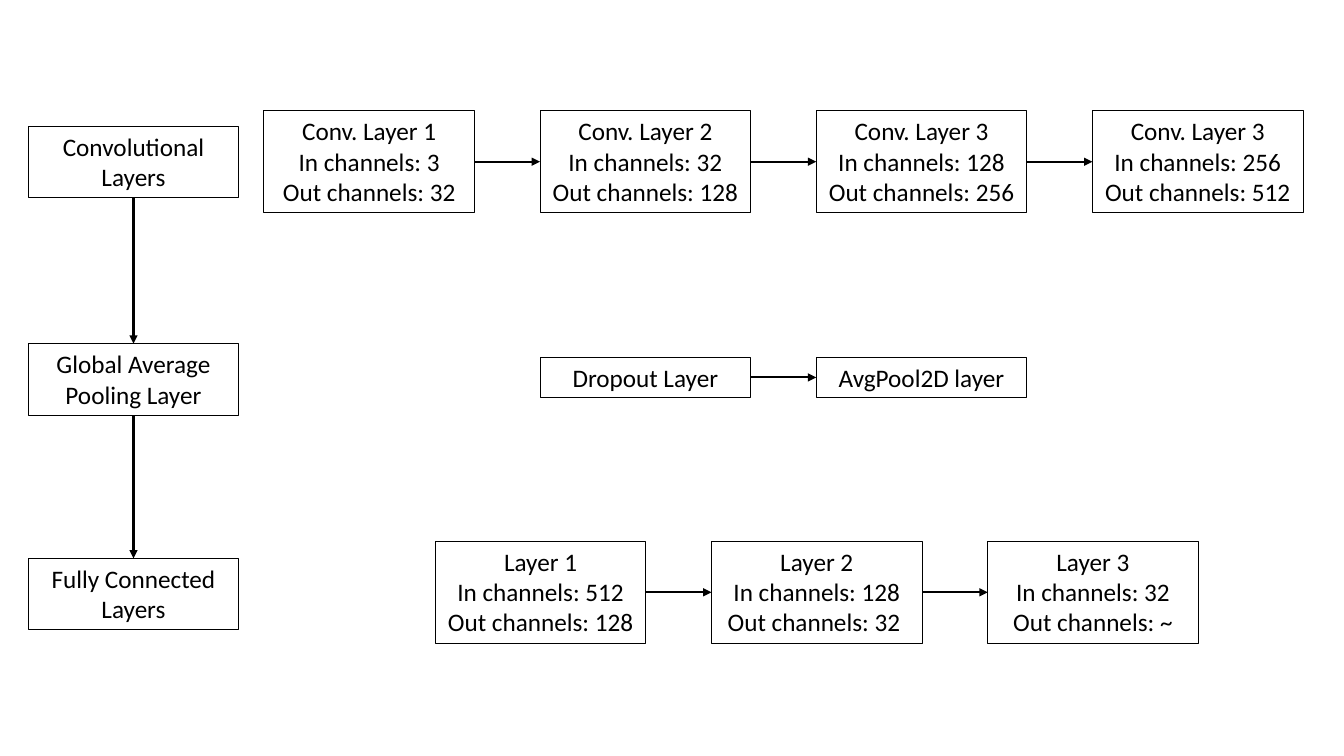
from dataclasses import dataclass
from itertools import pairwise

from lxml.etree import SubElement
from pptx import Presentation
from pptx.dml.color import RGBColor
from pptx.enum.shapes import MSO_CONNECTOR
from pptx.enum.text import MSO_AUTO_SIZE, PP_ALIGN
from pptx.oxml.ns import qn
from pptx.shapes.autoshape import Shape
from pptx.slide import Slide
from pptx.util import Cm, Pt

COLORS = {"ink": "000000"}
FONT_NAME = "Calibri"
BLOCK_WIDTH = 5.31
COLUMN_PITCH = 6.96
TOP, LEFT, BOTTOM, RIGHT = range(4)


@dataclass(frozen=True)
class Block:
    left: float
    top: float
    height: float
    lines: tuple[str, ...]


@dataclass(frozen=True)
class Row:
    left: float
    top: float
    height: float
    labels: tuple[tuple[str, ...], ...]

    def blocks(self) -> list[Block]:
        return [
            Block(self.left + column * COLUMN_PITCH, self.top, self.height, lines)
            for column, lines in enumerate(self.labels)
        ]


STAGES = [
    Block(0.71, 3.18, 1.8, ("Convolutional Layers",)),
    Block(0.71, 8.66, 1.8, ("Global Average Pooling Layer",)),
    Block(0.71, 14.07, 1.8, ("Fully Connected Layers",)),
]

LAYER_ROWS = [
    Row(6.65, 2.79, 2.57, (
        ("Conv. Layer 1", "In channels: 3", "Out channels: 32"),
        ("Conv. Layer 2", "In channels: 32", "Out channels: 128 "),
        ("Conv. Layer 3", "In channels: 128", "Out channels: 256"),
        ("Conv. Layer 3", "In channels: 256", "Out channels: 512"),
    )),
    Row(13.61, 9.0, 1.02, (("Dropout Layer",), ("AvgPool2D layer",))),
    Row(10.97, 13.64, 2.57, (
        ("Layer 1", "In channels: 512", "Out channels: 128"),
        ("Layer 2", "In channels: 128", "Out channels: 32 "),
        ("Layer 3", "In channels: 32", "Out channels: ~"),
    )),
]


def draw_block(slide: Slide, block: Block) -> Shape:
    box = slide.shapes.add_textbox(
        Cm(block.left), Cm(block.top), Cm(BLOCK_WIDTH), Cm(block.height)
    )
    box.line.color.rgb = RGBColor.from_string(COLORS["ink"])
    box.line.width = Pt(0.75)
    frame = box.text_frame
    frame.word_wrap = True
    frame.auto_size = MSO_AUTO_SIZE.SHAPE_TO_FIT_TEXT
    frame.text = "\n".join(block.lines)
    for paragraph in frame.paragraphs:
        paragraph.alignment = PP_ALIGN.CENTER
        paragraph.font.name = FONT_NAME
        paragraph.font.size = Pt(18)
        paragraph.font.color.rgb = RGBColor.from_string(COLORS["ink"])
    return box


def draw_arrow(
    slide: Slide, source: Shape, source_side: int, target: Shape, target_side: int
) -> None:
    arrow = slide.shapes.add_connector(MSO_CONNECTOR.STRAIGHT, 0, 0, 0, 0)
    arrow.begin_connect(source, source_side)
    arrow.end_connect(target, target_side)
    arrow.line.color.rgb = RGBColor.from_string(COLORS["ink"])
    arrow.line.width = Pt(1.5)
    SubElement(arrow.line._get_or_add_ln(), qn("a:tailEnd"), type="triangle")
    SubElement(arrow._element.spPr, qn("a:effectLst"))


def draw_chain(
    slide: Slide, blocks: list[Block], exit_side: int, entry_side: int
) -> None:
    boxes = [draw_block(slide, block) for block in blocks]
    for source, target in pairwise(boxes):
        draw_arrow(slide, source, exit_side, target, entry_side)


def main() -> None:
    presentation = Presentation()
    presentation.slide_width = Cm(33.87)
    presentation.slide_height = Cm(19.05)
    slide = presentation.slides.add_slide(presentation.slide_layouts[6])
    draw_chain(slide, STAGES, BOTTOM, TOP)
    for row in LAYER_ROWS:
        draw_chain(slide, row.blocks(), RIGHT, LEFT)
    presentation.save("out.pptx")


if __name__ == "__main__":
    main()
